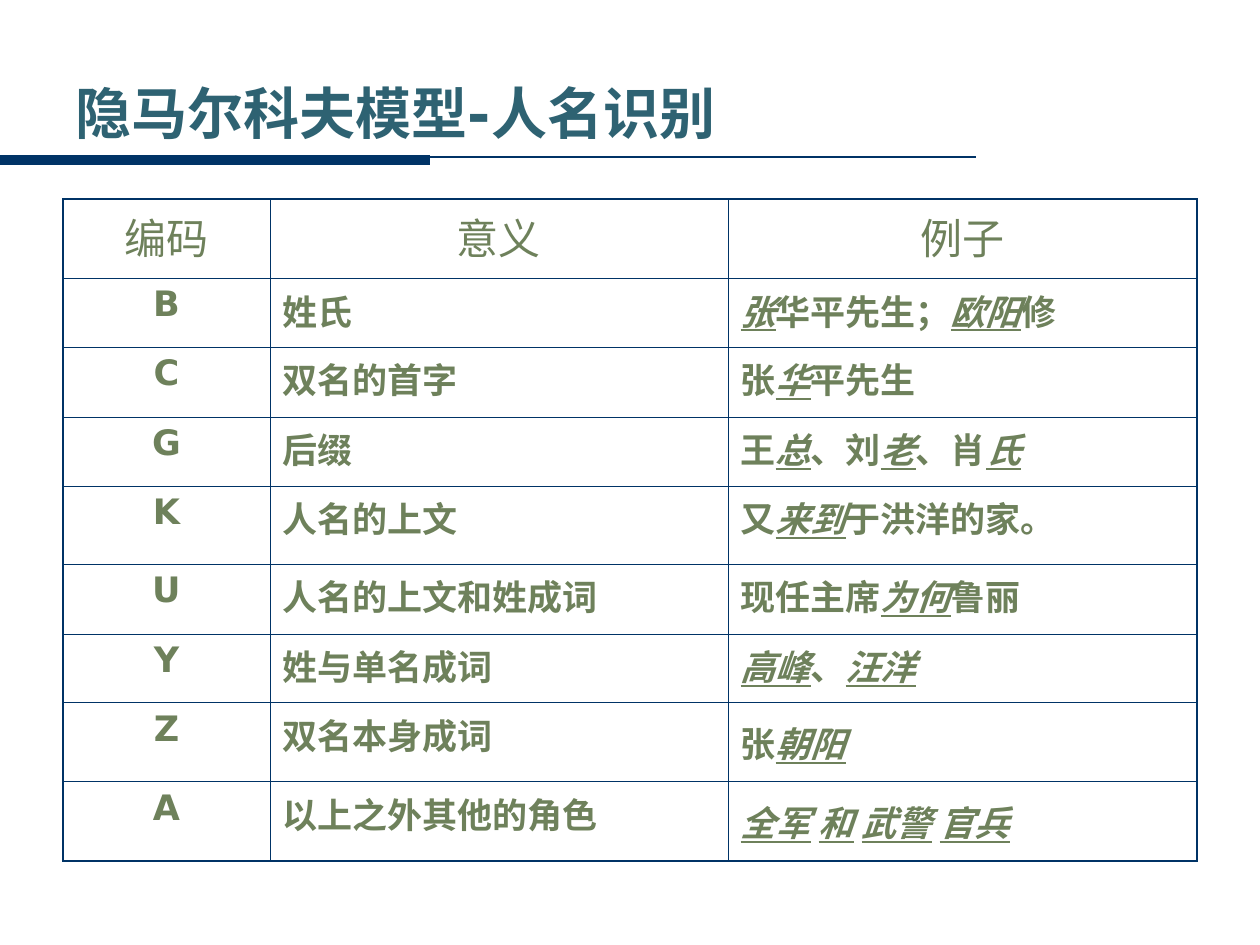
from lxml.etree import SubElement
from pptx import Presentation
from pptx.dml.color import RGBColor
from pptx.enum.shapes import MSO_CONNECTOR
from pptx.enum.text import MSO_ANCHOR, PP_ALIGN
from pptx.oxml.ns import qn
from pptx.util import Emu, Pt

NAVY = RGBColor(0x00, 0x33, 0x66)
TEAL = RGBColor(0x2E, 0x62, 0x72)
OLIVE = RGBColor(0x6E, 0x81, 0x5B)
LATIN = "DejaVu Sans"
HAN = "Noto Sans CJK SC"
SCALE = 914400 / 126

HEADS = ["编码", "意义", "例子"]
ROLES = [
    ("B", "姓氏", "_张_华平先生；_欧阳_修"),
    ("C", "双名的首字", "张_华_平先生"),
    ("G", "后缀", "王_总_、刘_老_、肖_氏_"),
    ("K", "人名的上文", "又_来到_于洪洋的家。"),
    ("U", "人名的上文和姓成词", "现任主席_为何_鲁丽"),
    ("Y", "姓与单名成词", "_高峰_、_汪洋_"),
    ("Z", "双名本身成词", "张_朝阳_"),
    ("A", "以上之外其他的角色", "_全军_ _和_ _武警_ _官兵_"),
]
COLS = [207, 458, 469]
ROWS = [79, 69, 70, 69, 78, 70, 69, 79, 79]
LOW_ROWS = {"Z", "A"}
LEFT_ROWS = {"Y", "Z", "A"}


def px(count):
    return Emu(round(count * SCALE))


def write(frame, text, size=20, face=HAN, color=OLIVE, bold=True, align=PP_ALIGN.LEFT):
    para = frame.paragraphs[0]
    para.alignment = align
    for index, part in enumerate(text.split("_")):
        if not part:
            continue
        run = para.add_run()
        run.text = part
        font = run.font
        font.size, font.name, font.bold = Pt(size), face, bold
        font.color.rgb = color
        font.italic = font.underline = index % 2 == 1
        SubElement(font._element, qn("a:ea"), typeface=HAN)


class Page:
    def __init__(self, slide, ink):
        self.slide = slide
        self.ink = ink

    def line(self, left, right, y, width):
        rule = self.slide.shapes.add_connector(
            MSO_CONNECTOR.STRAIGHT, px(left), px(y), px(right), px(y))
        rule.line.color.rgb = self.ink
        rule.line.width = Pt(width)
        SubElement(rule._element.spPr, qn("a:effectLst"))

    def title(self, text, left, top, width, height):
        frame = self.slide.shapes.add_textbox(
            px(left), px(top), px(width), px(height)).text_frame
        frame.word_wrap = True
        frame.vertical_anchor = MSO_ANCHOR.MIDDLE
        write(frame, text, size=32, face=LATIN, color=TEAL)

    def edges(self, cell, outer):
        props = cell._tc.get_or_add_tcPr()
        for side in "LRTB":
            width = Pt(1.08 if side in outer else 0.45)
            edge = SubElement(props, qn(f"a:ln{side}"), w=str(width))
            fill = SubElement(edge, qn("a:solidFill"))
            SubElement(fill, qn("a:srgbClr"), val=str(self.ink))
        cell.fill.background()

    def table(self, left, top, cols, rows):
        grid = self.slide.shapes.add_table(
            len(rows), len(cols), px(left), px(top), px(sum(cols)), px(sum(rows))).table
        grid.first_row = grid.horz_banding = False
        for col, width in zip(grid.columns, cols):
            col.width = px(width)
        for row, height in zip(grid.rows, rows):
            row.height = px(height)
        for r in range(len(rows)):
            for c in range(len(cols)):
                tests = {"L": c == 0, "R": c == len(cols) - 1,
                         "T": r == 0, "B": r == len(rows) - 1}
                self.edges(grid.cell(r, c), [side for side, hit in tests.items() if hit])
        return grid


def main():
    deck = Presentation()
    deck.slide_width, deck.slide_height = px(1260), px(945)
    page = Page(deck.slides.add_slide(deck.slide_layouts[6]), NAVY)

    page.line(0, 976, 157, 1.5)
    page.line(0, 430, 160, 6)
    page.title("隐马尔科夫模型-人名识别", 63, 73, 1061, 78)

    grid = page.table(63, 199, COLS, ROWS)
    for c, head in enumerate(HEADS):
        write(grid.cell(0, c).text_frame, head, size=24, bold=False, align=PP_ALIGN.CENTER)
    for r, (code, sense, sample) in enumerate(ROLES, 1):
        align = PP_ALIGN.LEFT if code in LEFT_ROWS else PP_ALIGN.JUSTIFY
        write(grid.cell(r, 0).text_frame, code, face=LATIN, align=PP_ALIGN.CENTER)
        write(grid.cell(r, 1).text_frame, sense, align=align)
        write(grid.cell(r, 2).text_frame, sample, align=align)
        if code in LOW_ROWS:
            grid.cell(r, 2).margin_top = px(14)

    deck.save("out.pptx")


if __name__ == "__main__":
    main()
